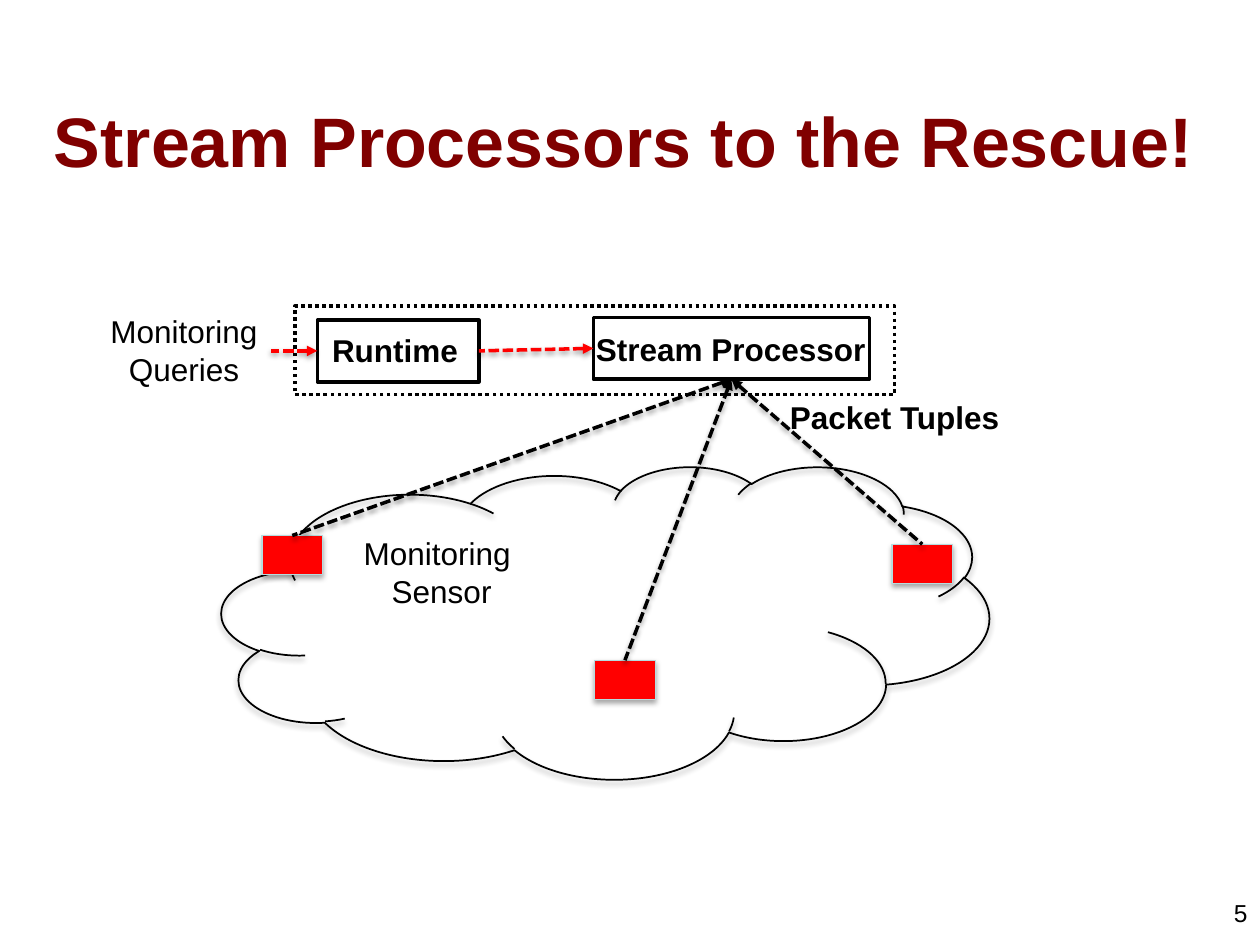
"""Build the slide on stream processors fed by monitoring sensors."""
from lxml import etree
from pptx import Presentation
from pptx.dml.color import RGBColor
from pptx.enum.dml import MSO_LINE
from pptx.enum.shapes import MSO_CONNECTOR, MSO_SHAPE
from pptx.enum.text import MSO_ANCHOR, PP_ALIGN
from pptx.oxml.ns import qn
from pptx.util import Inches, Pt

CLOUD, RECT = MSO_SHAPE.CLOUD, MSO_SHAPE.RECTANGLE
STRAIGHT = MSO_CONNECTOR.STRAIGHT
DASH, DOT = MSO_LINE.SQUARE_DOT, MSO_LINE.ROUND_DOT
LEFT, CENTER, RIGHT = PP_ALIGN.LEFT, PP_ALIGN.CENTER, PP_ALIGN.RIGHT
TOP, MIDDLE = MSO_ANCHOR.TOP, MSO_ANCHOR.MIDDLE

BLACK = RGBColor(0, 0, 0)
RED = RGBColor(0xFF, 0, 0)
MAROON = RGBColor(0x80, 0, 0)
PALE_TEAL = RGBColor(0xB6, 0xDC, 0xDF)

COLUMNS, ROWS = 100, 75
CELL = Inches(10) / COLUMNS

TITLE = ("Stream Processors to the Rescue!", (3.3, 4.8, 95.8, 12.5))
PAGE_NUMBER = ("5", (76.7, 70.8, 23.3, 2.5))
LABELS = [
    ("Monitoring \nSensor", (27.8, 41.9, 14.5, 7.1), False),
    ("Stream Processor", (44.5, 25.7, 27, 4), True),
    ("Runtime", (25.3, 25.8, 12.1, 4), True),
    ("Monitoring\nQueries", (7.7, 24.3, 13.8, 7.1), False),
    ("Packet Tuples", (61.6, 31.1, 18.8, 4), True),
]
NETWORK = (17.6, 37, 60.9, 24.8)
SENSOR_SIZE = (4.8, 3.1)
SENSORS = [(20.8, 42.5), (47.2, 52.4), (70.8, 43.2)]
SYSTEM = (23.4, 24.3, 47.6, 7)
RUNTIME = (25.2, 25.4, 12.8, 4.9)
PROCESSOR = (47.1, 25.2, 21.9, 4.9)
QUERIES_EDGE = 21.5


def cells(*values):
    return [round(v * CELL) for v in values]


def edge_point(box, across, down):
    left, top, width, height = box
    return left + width * across, top + height * down


def add_shadow(s, opacity, distance):
    sp_pr = s._element.spPr
    effects = sp_pr.find(qn("a:effectLst"))
    if effects is None:
        effects = etree.SubElement(sp_pr, qn("a:effectLst"))
    shadow = etree.SubElement(effects, qn("a:outerShdw"), blurRad=str(Pt(3.1)),
                              dist=str(Pt(distance)), dir="5400000", rotWithShape="0")
    color = etree.SubElement(shadow, qn("a:srgbClr"), val=str(BLACK))
    etree.SubElement(color, qn("a:alpha"), val=str(opacity * 1000))


def style_line(s, color, width, dash=None):
    s.line.color.rgb = color
    s.line.width = Pt(width)
    if dash:
        s.line.dash_style = dash


def add_box(slide, kind, box, color, width, fill=None, dash=None, shadow=False):
    s = slide.shapes.add_shape(kind, *cells(*box))
    s.shadow.inherit = False
    if fill is None:
        s.fill.background()
    else:
        s.fill.solid()
        s.fill.fore_color.rgb = fill
    style_line(s, color, width, dash)
    if shadow:
        add_shadow(s, 35, 1.8)


def add_arrow(slide, tip, tail, color):
    s = slide.shapes.add_connector(STRAIGHT, *cells(*tip, *tail))
    style_line(s, color, 2, DASH)
    etree.SubElement(s.line._get_or_add_ln(), qn("a:headEnd"), type="triangle")
    add_shadow(s, 38, 1.6)


def add_text(slide, text, box, size=18, bold=False, color=BLACK,
             align=CENTER, anchor=TOP, wrap=False):
    tf = slide.shapes.add_textbox(*cells(*box)).text_frame
    tf.word_wrap = wrap
    tf.vertical_anchor = anchor
    tf.text = text
    for p in tf.paragraphs:
        p.alignment = align
        for r in p.runs:
            r.font.name = "Arial"
            r.font.size = Pt(size)
            r.font.bold = bold
            r.font.color.rgb = color


def main():
    prs = Presentation()
    prs.slide_width, prs.slide_height = cells(COLUMNS, ROWS)
    slide = prs.slides.add_slide(prs.slide_layouts[6])

    add_text(slide, *PAGE_NUMBER, size=14, align=RIGHT, wrap=True)
    add_text(slide, *TITLE, size=40, bold=True, color=MAROON,
             align=LEFT, anchor=MIDDLE, wrap=True)

    add_box(slide, CLOUD, NETWORK, BLACK, 1, shadow=True)
    sensors = [corner + SENSOR_SIZE for corner in SENSORS]
    for box in sensors:
        add_box(slide, RECT, box, PALE_TEAL, 0.75, fill=RED, shadow=True)
    for box in sensors:
        add_arrow(slide, edge_point(PROCESSOR, 0.5, 1), edge_point(box, 0.5, 0), BLACK)

    add_box(slide, RECT, SYSTEM, BLACK, 2, dash=DOT)
    for box in (RUNTIME, PROCESSOR):
        add_box(slide, RECT, box, BLACK, 2)
    runtime_in = edge_point(RUNTIME, 0, 0.5)
    add_arrow(slide, edge_point(PROCESSOR, 0, 0.5), edge_point(RUNTIME, 1, 0.5), RED)
    add_arrow(slide, runtime_in, (QUERIES_EDGE, runtime_in[1]), RED)

    for text, box, bold in LABELS:
        add_text(slide, text, box, bold=bold)

    prs.save("out.pptx")


if __name__ == "__main__":
    main()
